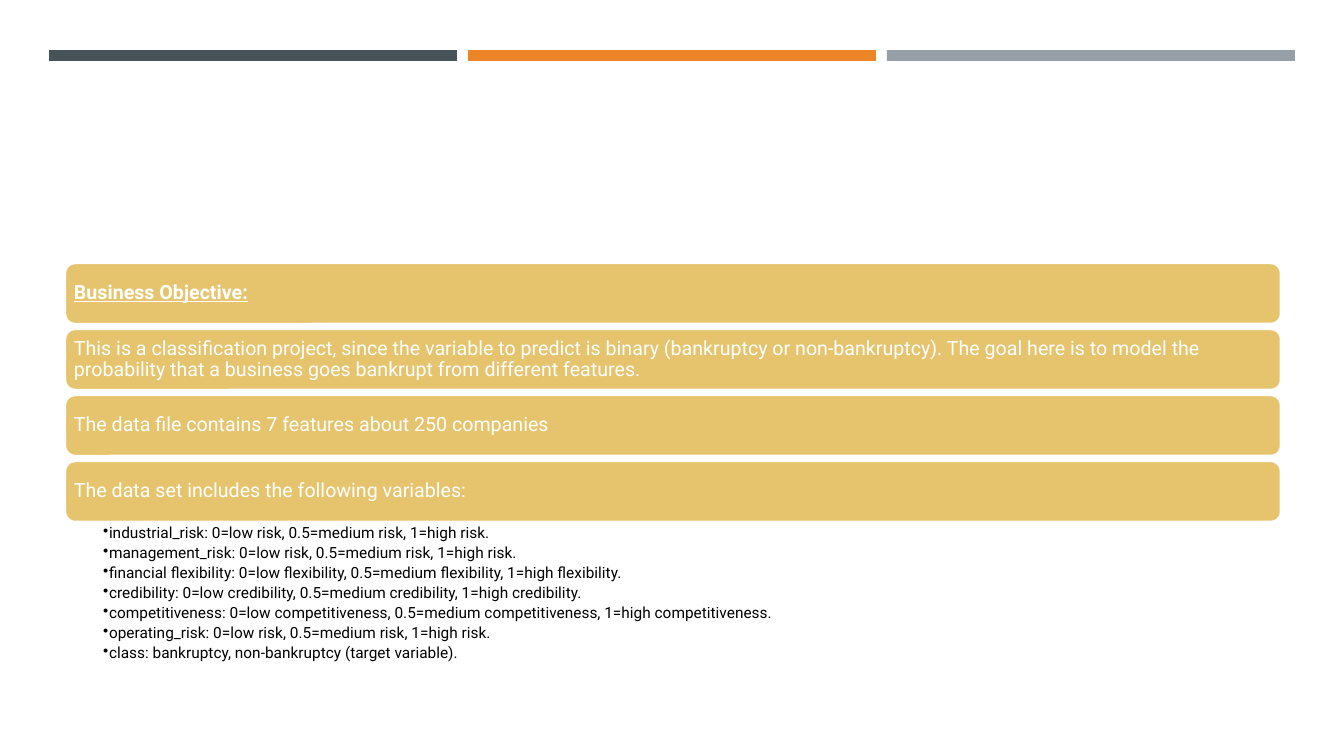
from dataclasses import dataclass

from lxml.etree import SubElement
from pptx import Presentation
from pptx.dml.color import RGBColor
from pptx.enum.shapes import MSO_SHAPE as Preset
from pptx.enum.text import MSO_ANCHOR as Anchor, PP_ALIGN as Align
from pptx.oxml.ns import qn
from pptx.util import Pt

HEADING = "Business Objective:"
CARDS = [
    HEADING,
    "This is a classification project, since the variable to predict is binary (bankruptcy or non-bankruptcy). "
    "The goal here is to model the probability that a business goes bankrupt from different features.",
    "The data file contains 7 features about 250 companies",
    "The data set includes the following variables:",
]
VARIABLES = [
    "industrial_risk: 0=low risk, 0.5=medium risk, 1=high risk.",
    "management_risk: 0=low risk, 0.5=medium risk, 1=high risk.",
    "financial flexibility: 0=low flexibility, 0.5=medium flexibility, 1=high flexibility.",
    "credibility: 0=low credibility, 0.5=medium credibility, 1=high credibility.",
    "competitiveness: 0=low competitiveness, 0.5=medium competitiveness, 1=high competitiveness.",
    "operating_risk: 0=low risk, 0.5=medium risk, 1=high risk.",
    "class: bankruptcy, non-bankruptcy (target variable).",
]


@dataclass(frozen=True)
class Theme:
    bars: tuple = ("465359", "ED8428", "969FA7")
    card: str = "E6C46D"
    light: str = "FFFFFF"
    dark: str = "000000"
    font: str = "Roboto"
    card_size: int = 14
    list_size: int = 11
    outline: float = 1.75


THEME = Theme()
SLIDE_W, SLIDE_H = 1344, 756
BAR_LEFT, BAR_TOP, BAR_W, BAR_H, BAR_STEP = 49, 50, 408, 11, 419
CARD_LEFT, CARD_TOP, CARD_W, CARD_H, CARD_STEP = 65, 263, 1216, 61, 66
CARD_INSET = 6
LIST_TOP, LIST_H = 523, 150
LIST_INSETS = (38, 2, 11, 2)
BULLET_INDENT = 6


def px(length):
    return round(length * 914400 / 100.8)


def rgb(value):
    return RGBColor.from_string(value)


def add_block(page, preset, left, top, width, height, fill):
    shape = page.shapes.add_shape(preset, px(left), px(top), px(width), px(height))
    shape.shadow.inherit = False
    shape.fill.solid()
    shape.fill.fore_color.rgb = rgb(fill)
    shape.line.fill.background()
    return shape


def set_frame(frame, insets, anchor):
    frame.word_wrap = True
    frame.vertical_anchor = anchor
    frame.margin_left, frame.margin_top, frame.margin_right, frame.margin_bottom = map(px, insets)


def style(para, size, color):
    para.alignment = Align.LEFT
    para.line_spacing = 0.9
    for span in para.runs:
        span.font.name = THEME.font
        span.font.size = Pt(size)
        span.font.color.rgb = rgb(color)


def add_bullet(para):
    properties = para._p.get_or_add_pPr()
    properties.set("marL", str(px(BULLET_INDENT)))
    properties.set("indent", str(-px(BULLET_INDENT)))
    SubElement(properties, qn("a:buChar")).set("char", "•")


def add_card(page, index, text):
    card = add_block(page, Preset.ROUNDED_RECTANGLE, CARD_LEFT, CARD_TOP + index * CARD_STEP,
                     CARD_W, CARD_H, THEME.card)
    card.line.color.rgb = rgb(THEME.light)
    card.line.width = Pt(THEME.outline)
    frame = card.text_frame
    set_frame(frame, [CARD_INSET] * 4, Anchor.MIDDLE)
    frame.text = text
    para = frame.paragraphs[0]
    style(para, THEME.card_size, THEME.light)
    if text == HEADING:
        para.runs[0].font.bold = True
        para.runs[0].font.underline = True


def add_variables(page):
    box = page.shapes.add_textbox(px(CARD_LEFT), px(LIST_TOP), px(CARD_W), px(LIST_H))
    frame = box.text_frame
    set_frame(frame, LIST_INSETS, Anchor.TOP)
    frame.text = "\n".join(VARIABLES)
    for para in frame.paragraphs:
        add_bullet(para)
        style(para, THEME.list_size, THEME.dark)
        para.space_after = Pt(2.4)


def main():
    deck = Presentation()
    deck.slide_width, deck.slide_height = px(SLIDE_W), px(SLIDE_H)
    page = deck.slides.add_slide(deck.slide_layouts[6])
    for index, color in enumerate(THEME.bars):
        add_block(page, Preset.RECTANGLE, BAR_LEFT + index * BAR_STEP, BAR_TOP, BAR_W, BAR_H, color)
    for index, text in enumerate(CARDS):
        add_card(page, index, text)
    add_variables(page)
    deck.save("out.pptx")


if __name__ == "__main__":
    main()
